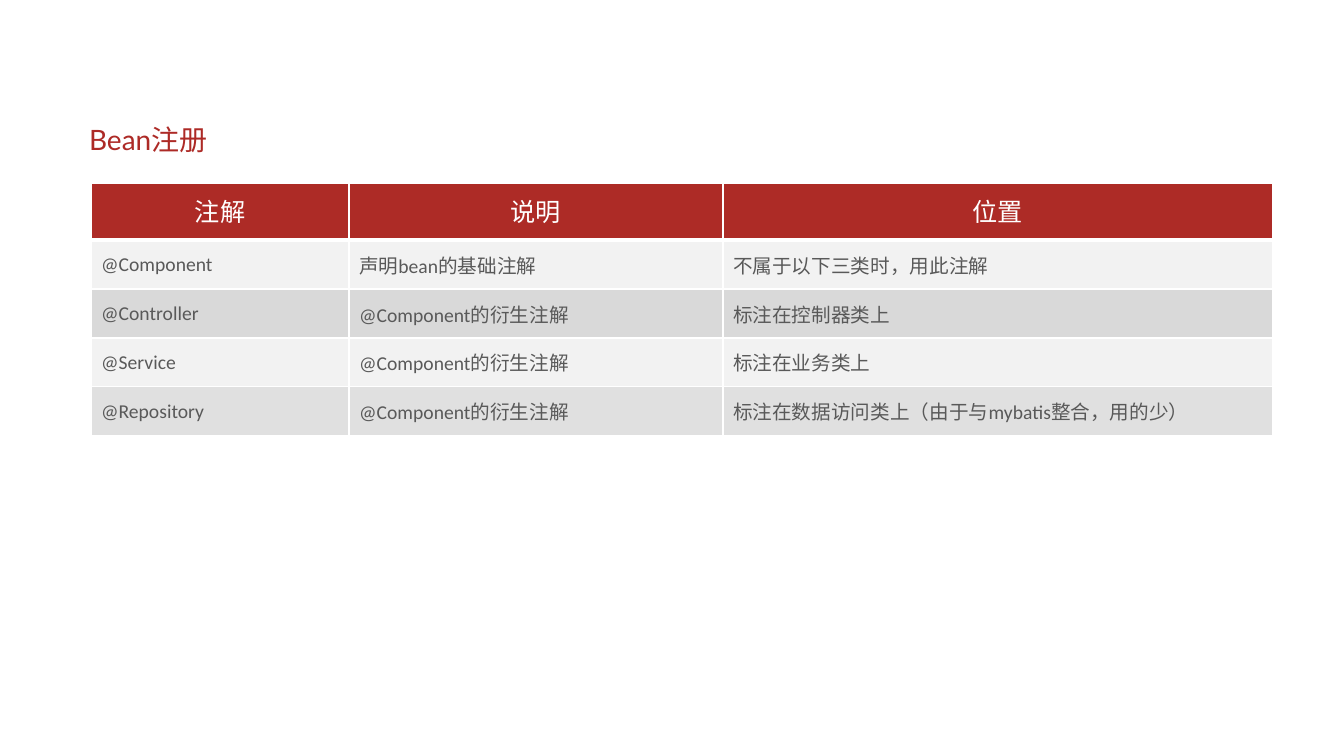
from dataclasses import dataclass

from lxml.etree import SubElement
from pptx import Presentation
from pptx.dml.color import RGBColor
from pptx.enum.text import MSO_ANCHOR as Anchor, PP_ALIGN as Align
from pptx.oxml.ns import qn
from pptx.util import Pt

PX = 914400 / 100.8  # EMU in one pixel


@dataclass(frozen=True)
class Theme:
    title_font: str = "Lato"
    table_font: str = "Calibri"
    title_color: str = "AD2A26"
    header_fill: str = "AD2B26"
    header_text: str = "FFFFFF"
    body_text: str = "595959"
    light_fill: str = "F2F2F2"
    dark_fill: str = "D9D9D9"
    border: str = "FFFFFF"
    title_size: int = 20
    header_size: int = 18
    body_size: int = 14
    header_leading: int = 24
    thin: int = 1
    thick: int = 3


THEME = Theme()

COLUMN_WIDTHS = [258, 374, 550]
HEADER_HEIGHT, BODY_HEIGHT = 57, 49
ANNOTATIONS = [
    ["注解", "说明", "位置"],
    ["@Component", "声明bean的基础注解", "不属于以下三类时，用此注解"],
    ["@Controller", "@Component的衍生注解", "标注在控制器类上"],
    ["@Service", "@Component的衍生注解", "标注在业务类上"],
    ["@Repository", "@Component的衍生注解", "标注在数据访问类上（由于与mybatis整合，用的少）"],
]


def px(*lengths):
    return [round(length * PX) for length in lengths]


def style_font(paragraph, name, size, color):
    font = paragraph.font
    font.name, font.size, font.bold = name, Pt(size), False
    font.color.rgb = RGBColor.from_string(color)


def add_title(slide, text, box):
    title = slide.shapes.title
    title.left, title.top, title.width, title.height = px(*box)
    frame = title.text_frame
    frame.text = text
    frame.vertical_anchor = Anchor.MIDDLE
    paragraph = frame.paragraphs[0]
    paragraph.alignment = Align.LEFT
    style_font(paragraph, THEME.title_font, THEME.title_size, THEME.title_color)


def set_borders(cell, top, bottom):
    properties = cell._tc.get_or_add_tcPr()
    widths = {"L": THEME.thin, "R": THEME.thin, "T": top, "B": bottom}
    for side, width in widths.items():
        line = SubElement(properties, qn(f"a:ln{side}"), w=str(Pt(width)))
        fill = SubElement(line, qn("a:solidFill"))
        SubElement(fill, qn("a:srgbClr"), val=THEME.border)


def set_fill(cell, color, opacity):
    cell.fill.solid()
    cell.fill.fore_color.rgb = RGBColor.from_string(color)
    if opacity < 100:
        color_element = next(cell._tc.tcPr.find(qn("a:solidFill")).iterchildren())
        SubElement(color_element, qn("a:alpha"), val=str(opacity * 1000))


def fill_cell(cell, text, row, last_row):
    header = row == 0
    # Borders, heavier under the header
    set_borders(cell,
                top=THEME.thick if row == 1 else THEME.thin,
                bottom=THEME.thick if header else THEME.thin)
    # Fill, banded below the header
    band = THEME.light_fill if row % 2 else THEME.dark_fill
    set_fill(cell, THEME.header_fill if header else band,
             80 if row == last_row else 100)
    # Text
    cell.text = text
    cell.vertical_anchor = Anchor.MIDDLE
    paragraph = cell.text_frame.paragraphs[0]
    if header:
        paragraph.alignment = Align.CENTER
        paragraph.line_spacing = Pt(THEME.header_leading)
        style_font(paragraph, THEME.table_font, THEME.header_size, THEME.header_text)
    else:
        style_font(paragraph, THEME.table_font, THEME.body_size, THEME.body_text)


def add_table(slide, rows, left, top):
    heights = [HEADER_HEIGHT] + [BODY_HEIGHT] * (len(rows) - 1)
    box = px(left, top, sum(COLUMN_WIDTHS), sum(heights))
    table = slide.shapes.add_table(len(rows), len(COLUMN_WIDTHS), *box).table
    for column, width in zip(table.columns, px(*COLUMN_WIDTHS)):
        column.width = width
    for table_row, height in zip(table.rows, px(*heights)):
        table_row.height = height
    for row, texts in enumerate(rows):
        for column, text in enumerate(texts):
            fill_cell(table.cell(row, column), text, row, len(rows) - 1)


def main():
    presentation = Presentation()
    presentation.slide_width, presentation.slide_height = px(1344, 756)
    title_only = presentation.slide_layouts[5]
    slide = presentation.slides.add_slide(title_only)
    add_title(slide, "Bean注册", (79, 111, 664, 57))
    add_table(slide, ANNOTATIONS, 91, 183)
    presentation.save("out.pptx")


if __name__ == "__main__":
    main()
